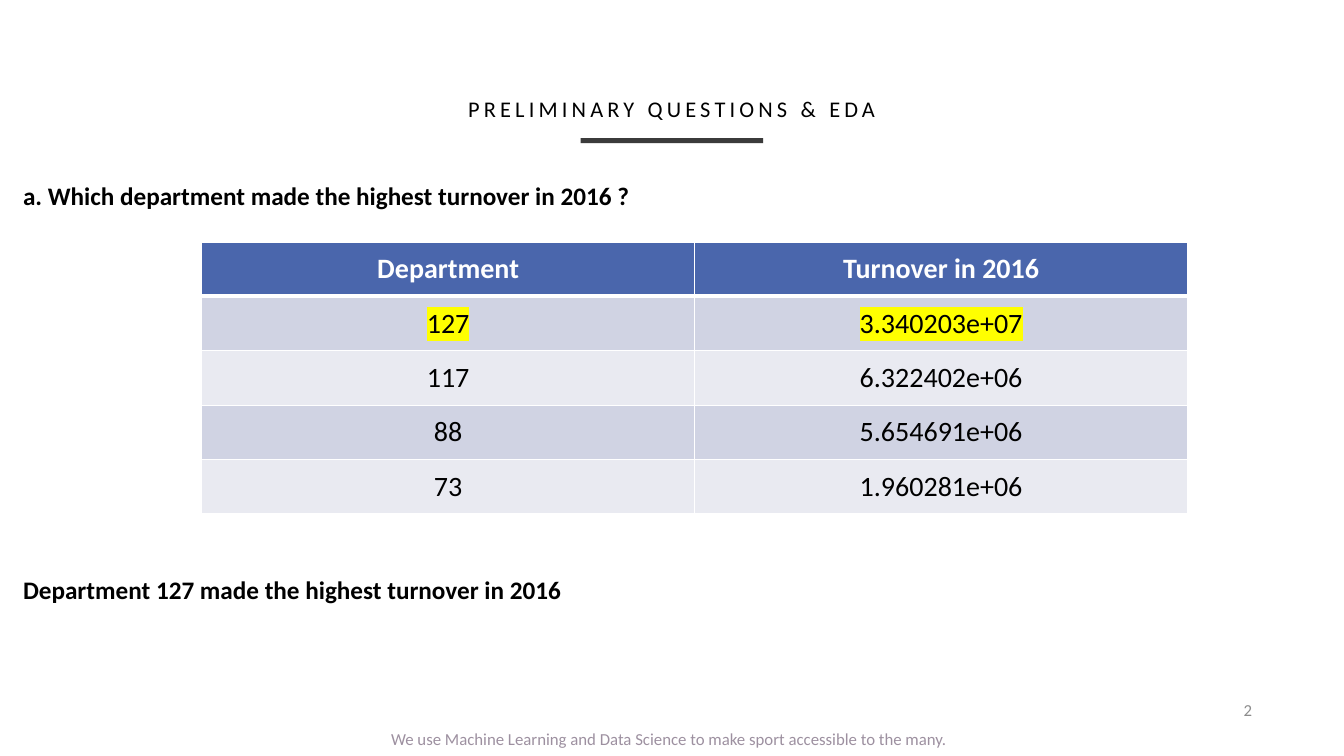
from pptx import Presentation
from pptx.dml.color import RGBColor
from pptx.enum.shapes import MSO_SHAPE
from pptx.enum.text import MSO_ANCHOR, PP_ALIGN
from pptx.oxml import parse_xml
from pptx.oxml.ns import nsdecls
from pptx.util import Inches, Pt

# Content
TITLE = "PRELIMINARY QUESTIONS & EDA"
ASK = "a. Which department made the highest turnover in 2016 ?"
REPLY = "Department 127 made the highest turnover in 2016"
FOOTER = "We use Machine Learning and Data Science to make sport accessible to the many."
PAGE = "2"
ROWS = [
    ("Department", "Turnover in 2016"),
    ("127", "3.340203e+07"),
    ("117", "6.322402e+06"),
    ("88", "5.654691e+06"),
    ("73", "1.960281e+06"),
]
TOP_ROW = 1  # row with the highest turnover

# Colours
BLACK = RGBColor(0x00, 0x00, 0x00)
WHITE = RGBColor(0xFF, 0xFF, 0xFF)
DARK = RGBColor(0x26, 0x26, 0x26)
GREY = RGBColor(0x8C, 0x8C, 0x8C)
MAUVE = RGBColor(0x9D, 0x90, 0xA0)
BLUE = RGBColor(0x4A, 0x66, 0xAC)
BANDS = (RGBColor(0xE9, 0xEA, 0xF1), RGBColor(0xD0, 0xD3, 0xE3))
YELLOW = RGBColor(0xFF, 0xFF, 0x00)

# Table measures
LEFT, TOP = 2, 2.4
COL_W, ROW_H = 4.89, 0.54


def write(frame, text, size=18, color=BLACK, bold=False, align=PP_ALIGN.LEFT,
          anchor=MSO_ANCHOR.TOP, gap=0, line=1.0, mark=None):
    """Put one formatted line of text into a text frame."""
    frame.vertical_anchor = anchor
    para = frame.paragraphs[0]
    para.alignment = align
    para.line_spacing = line
    run = para.add_run()
    run.text = text
    font = run.font
    font.name, font.size, font.bold = "Calibri", Pt(size), bold
    font.color.rgb = color
    props = run._r.get_or_add_rPr()
    if gap:
        props.set("spc", str(round(gap * 100)))
    if mark is not None:
        props.insert(1, parse_xml(
            f'<a:highlight {nsdecls("a")}><a:srgbClr val="{mark}"/></a:highlight>'))


def add_text(slide, text, x, y, w, h, wrap=True, inset=True, **style):
    frame = slide.shapes.add_textbox(
        Inches(x), Inches(y), Inches(w), Inches(h)).text_frame
    frame.word_wrap = wrap
    if not inset:
        frame.margin_left = frame.margin_right = 0
        frame.margin_top = frame.margin_bottom = 0
    write(frame, text, **style)


def add_edges(cell, low):
    """Draw white cell borders, with the given width at the bottom."""
    props = cell._tc.get_or_add_tcPr()
    for spot, (side, width) in enumerate(
            (("L", 1), ("R", 1), ("T", 1), ("B", low))):
        props.insert(spot, parse_xml(
            f'<a:ln{side} {nsdecls("a")} w="{Pt(width)}"><a:solidFill>'
            f'<a:srgbClr val="{WHITE}"/></a:solidFill></a:ln{side}>'))


def add_grid(slide):
    grid = slide.shapes.add_table(
        len(ROWS), len(ROWS[0]), Inches(LEFT), Inches(TOP),
        Inches(COL_W * len(ROWS[0])), Inches(ROW_H * len(ROWS))).table
    for col in grid.columns:
        col.width = Inches(COL_W)
    for r, row in enumerate(ROWS):
        grid.rows[r].height = Inches(ROW_H)
        head = r == 0
        for c, text in enumerate(row):
            cell = grid.cell(r, c)
            cell.margin_left = cell.margin_right = Inches(0.11)
            cell.margin_top = cell.margin_bottom = Inches(0.06)
            cell.vertical_anchor = MSO_ANCHOR.MIDDLE
            cell.fill.solid()
            cell.fill.fore_color.rgb = BLUE if head else BANDS[r % 2]
            add_edges(cell, 3 if r == 0 else 1)
            write(cell.text_frame, text, size=20, bold=head,
                  color=WHITE if head else BLACK, align=PP_ALIGN.CENTER,
                  anchor=MSO_ANCHOR.MIDDLE,
                  mark=YELLOW if r == TOP_ROW else None)


def add_bar(slide):
    bar = slide.shapes.add_shape(
        MSO_SHAPE.RECTANGLE, Inches(5.76), Inches(1.37), Inches(1.81), Inches(0.05))
    bar.shadow.inherit = False
    bar.line.fill.background()
    bar.fill.solid()
    bar.fill.fore_color.rgb = DARK
    tint = bar._element.spPr.find(".//" + "{*}srgbClr")
    tint.append(parse_xml(f'<a:alpha {nsdecls("a")} val="90000"/>'))


def main():
    deck = Presentation()
    deck.slide_width, deck.slide_height = Inches(13.33), Inches(7.5)
    slide = deck.slides.add_slide(deck.slide_layouts[6])

    # Title and rule
    add_bar(slide)
    add_text(slide, TITLE, 1.78, 0.92, 9.77, 0.34, size=16, gap=3, line=0.9,
             align=PP_ALIGN.CENTER, anchor=MSO_ANCHOR.BOTTOM)

    # Question, table and answer
    add_text(slide, ASK, 0.13, 1.74, 7.58, 0.4, bold=True)
    add_grid(slide)
    add_text(slide, REPLY, 0.13, 5.65, 7.58, 0.4, bold=True)

    # Footer and page number
    add_text(slide, FOOTER, 3.78, 7.18, 5.78, 0.3, wrap=False, size=12, color=MAUVE)
    add_text(slide, PAGE, 9.42, 6.94, 3, 0.2, inset=False, size=12, color=GREY,
             gap=0.4, align=PP_ALIGN.RIGHT, anchor=MSO_ANCHOR.BOTTOM)

    deck.save("out.pptx")


if __name__ == "__main__":
    main()
